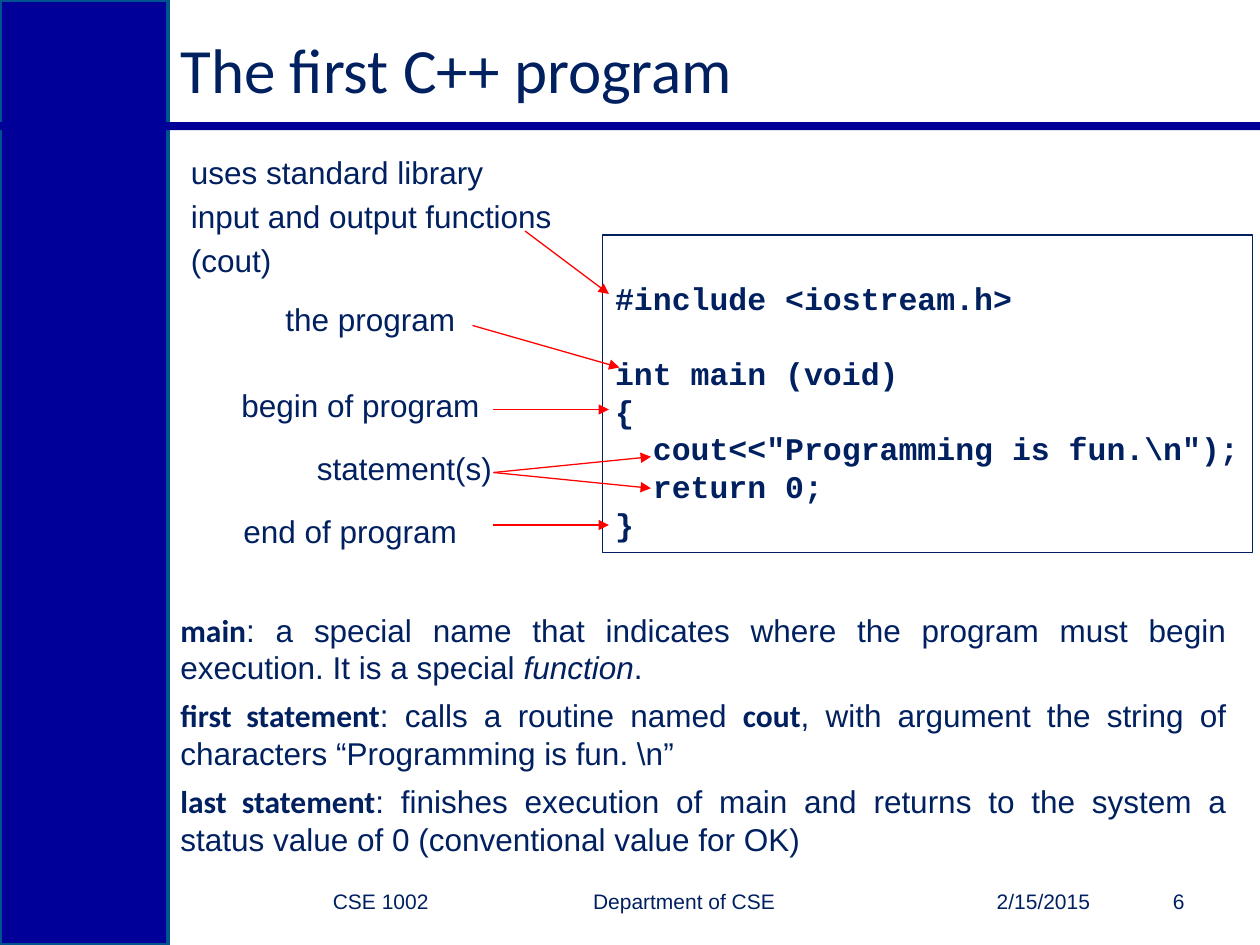
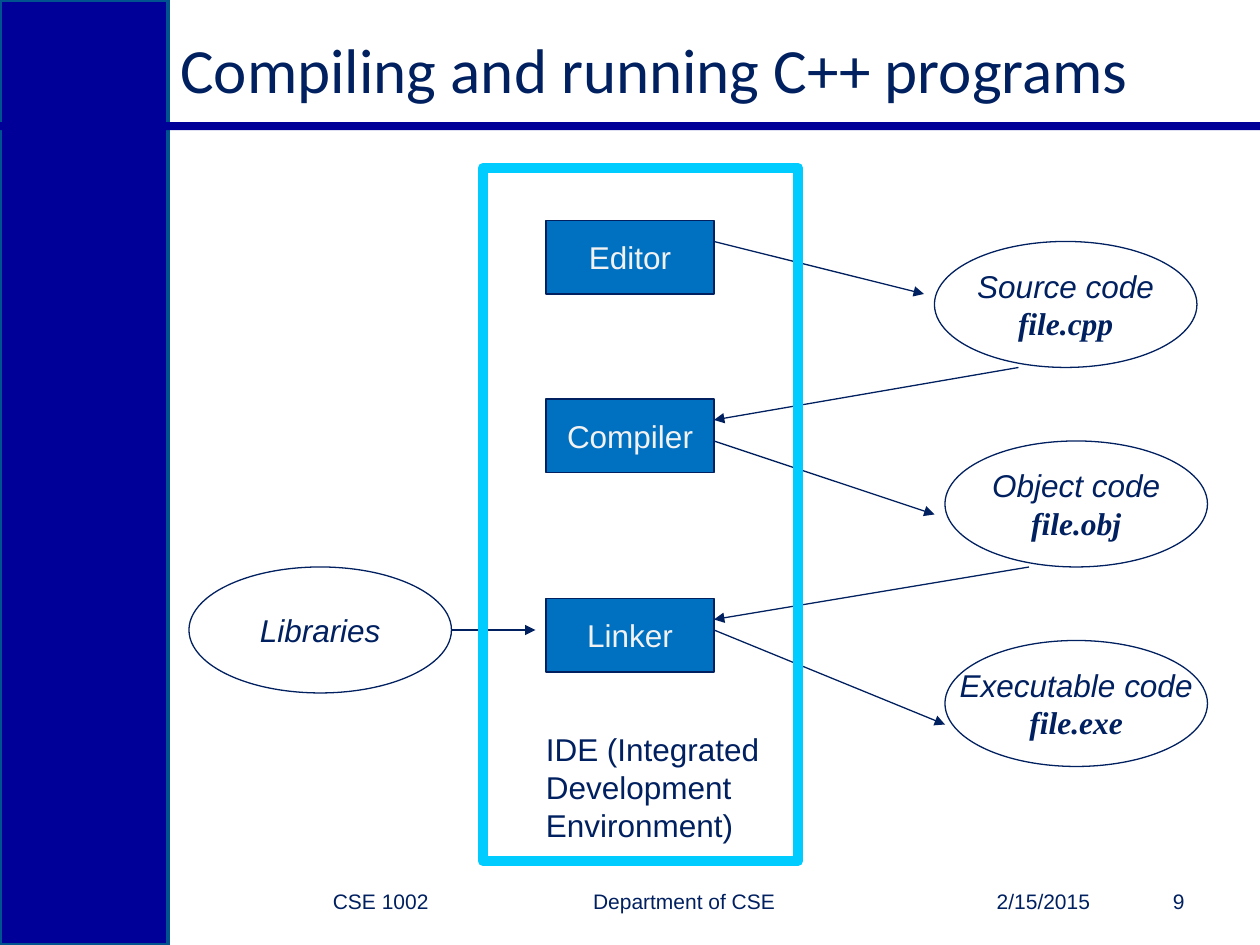
from lxml import etree
from pptx import Presentation
from pptx.dml.color import RGBColor
from pptx.enum.shapes import MSO_CONNECTOR, MSO_SHAPE
from pptx.enum.text import MSO_ANCHOR, PP_ALIGN
from pptx.oxml.ns import qn
from pptx.util import Inches, Pt

RECT, OVAL = MSO_SHAPE.RECTANGLE, MSO_SHAPE.OVAL
STRAIGHT = MSO_CONNECTOR.STRAIGHT
TOP, MIDDLE = MSO_ANCHOR.TOP, MSO_ANCHOR.MIDDLE
LEFT, CENTER, RIGHT, JUSTIFY = (PP_ALIGN.LEFT, PP_ALIGN.CENTER,
                                PP_ALIGN.RIGHT, PP_ALIGN.JUSTIFY)

NAVY = RGBColor(0x00, 0x20, 0x60)
BAND = RGBColor(0x00, 0x00, 0x99)
BAND_EDGE = RGBColor(0x00, 0x53, 0x8E)
RED = RGBColor(0xFF, 0x00, 0x00)
BLUE = RGBColor(0x00, 0x70, 0xC0)
CYAN = RGBColor(0x00, 0xCC, 0xFF)
PALE = RGBColor(0xF2, 0xF2, 0xF2)

BODY, HEADING, CODE, FILE_NAME = "Arial", "Calibri", "Courier New", "Times New Roman"
BODY_SIZE, BODY_LEADING = 18, Pt(21.5)

# The slide is a grid of 120 columns by 90 rows.
COLUMNS, ROWS = 120, 90
CELL = Inches(10) // COLUMNS

SIDEBAR = (0, 0, 16, ROWS)
RULE = (0, 11.64, COLUMNS, 0.76)
TITLE = (16, 2, 94, 9)
FOOTER = (17, 83.4, 97, 4.8)
WALKTHROUGH = (17, 14, 102.3, 38.6)
EXPLANATION = (16, 57.6, 102, 25)
DIAGRAM = (18, 16, 97, 66)


def emu(*cells):
    return [round(n * CELL) for n in cells]


def inside(box, left, top, width, height):
    """Grid box given relative to the corner of another box."""
    return box[0] + left, box[1] + top, width, height


def style(font, name=BODY, size=BODY_SIZE, color=NAVY, bold=None, italic=None):
    font.name, font.size, font.color.rgb = name, Pt(size), color
    font.bold, font.italic = bold, italic


def write(sp, lines, align=LEFT, anchor=TOP, wrap=True, before=0, after=0, **font):
    """Write one paragraph per line; before is the gap between paragraphs."""
    tf = sp.text_frame
    tf.word_wrap, tf.vertical_anchor = wrap, anchor
    for i, line in enumerate(lines):
        p = tf.paragraphs[0] if i == 0 else tf.add_paragraph()
        p.text = line
        p.alignment = align
        p.space_before, p.space_after = Pt(before if i else 0), Pt(after)
        style(p.font, **font)
        if font.get("size", BODY_SIZE) == BODY_SIZE:
            p.line_spacing = BODY_LEADING
    return tf


def add_text(s, box, lines, **options):
    return write(s.shapes.add_textbox(*emu(*box)), lines, **options)


def add_shape(s, kind, box, fill=None, line=None, width=0.75):
    sp = s.shapes.add_shape(kind, *emu(*box))
    sp.shadow.inherit = False
    if fill is None:
        sp.fill.background()
    else:
        sp.fill.solid()
        sp.fill.fore_color.rgb = fill
    if line is None:
        sp.line.fill.background()
    else:
        sp.line.color.rgb, sp.line.width = line, Pt(width)
    return sp


def add_arrows(s, box, arrows, color):
    """Draw arrows given as x1, y1, x2, y2 relative to the box."""
    x, y = box[:2]
    for x1, y1, x2, y2 in arrows:
        cn = s.shapes.add_connector(STRAIGHT, *emu(x + x1, y + y1, x + x2, y + y2))
        cn.line.color.rgb, cn.line.width = color, Pt(0.75)
        etree.SubElement(cn.line._get_or_add_ln(), qn("a:tailEnd"), type="triangle")
        etree.SubElement(cn._element.spPr, qn("a:effectLst"))


def add_footer(s, box, number):
    parts = [(0, 25, "CSE 1002"), (25, 33, "Department of CSE"),
             (67, 21, "2/15/2015"), (88, 9, number)]
    for left, width, text in parts:
        add_text(s, inside(box, left, 0, width, box[3]), [text],
                 align=RIGHT, anchor=MIDDLE, size=12)


def add_slide(prs, title, number):
    s = prs.slides.add_slide(prs.slide_layouts[6])
    add_shape(s, RECT, SIDEBAR, BAND, BAND_EDGE, 2)
    add_shape(s, RECT, RULE, BAND)
    add_text(s, TITLE, [title], anchor=MIDDLE, name=HEADING, size=36)
    add_footer(s, FOOTER, number)
    return s


def add_walkthrough(s, box):
    """Code listing with labels pointing at its lines."""
    listing = add_shape(s, RECT, inside(box, 40.4, 8.4, 61.9, 30.2), line=NAVY)
    tf = write(listing, ["#include <iostream.h>", "int main (void)", "{",
                         "  cout<<\"Programming is fun.\\n\");", "  return 0;", "}"],
               name=CODE, bold=True)
    tf.margin_top, tf.margin_right = Inches(0.35), Inches(0.05)
    tf.paragraphs[1].space_before = BODY_LEADING

    labels = [
        (0, 0, 40, 17, ["uses standard library", "input and output functions", "(cout)"]),
        (9, 14, 31, 8.4, ["the program"]),
        (4.8, 22.2, 26, 4.8, ["begin of program"]),
        (12, 28.2, 20, 4.8, ["statement(s)"]),
        (5, 34.2, 24, 4.8, ["end of program"]),
    ]
    for *place, lines in labels:
        add_text(s, inside(box, *place), lines, before=3.6)
    add_arrows(s, box, [(33, 8, 41, 14), (28, 17, 42, 21), (30, 25, 41, 25),
                        (30, 31, 45, 29.5), (30, 31, 45, 32.5), (30, 36, 41, 36)], RED)


def add_explanation(s, box):
    term, emphasis = dict(name=HEADING, bold=True), dict(italic=True)
    paragraphs = [
        [("main", term),
         (": a special name that indicates where the program must begin execution. "
          "It is a special ", {}), ("function", emphasis), (".", {})],
        [("first statement", term), (": calls a routine named ", {}), ("cout", term),
         (", with argument the string of characters “Programming is fun. \\n”", {})],
        [("last statement", term),
         (": finishes execution of main and returns to the system a status value of 0 "
          "(conventional value for OK)", {})],
    ]
    tf = add_text(s, box, [""] * len(paragraphs), align=JUSTIFY, after=6)
    for p, runs in zip(tf.paragraphs, paragraphs):
        for text, font in runs:
            r = p.add_run()
            r.text = text
            style(r.font, **font)


def add_oval(s, box, lines):
    sp = add_shape(s, OVAL, box, line=NAVY)
    tf = write(sp, lines, align=CENTER, anchor=MIDDLE, wrap=False, italic=True)
    for p in tf.paragraphs[1:]:
        style(p.font, name=FILE_NAME, bold=True, italic=True)


def add_build_diagram(s, box):
    for top, tool in [(5, "Editor"), (22, "Compiler"), (41, "Linker")]:
        sp = add_shape(s, RECT, inside(box, 34, top, 16, 7), BLUE, NAVY)
        write(sp, [tool], align=CENTER, anchor=MIDDLE, wrap=False, color=PALE)

    outputs = [(71, "Source code", "file.cpp"), (72, "Object code", "file.obj"),
               (72, "Executable code", "file.exe")]
    for i, (left, *lines) in enumerate(outputs):
        add_oval(s, inside(box, left, 7 + 19 * i, 25, 12), lines)
    add_oval(s, inside(box, 0, 38, 25, 12), ["Libraries"])

    add_arrows(s, box, [(50, 7, 70, 12), (50, 26, 71, 33), (50, 44, 72, 53),
                        (79, 19, 50, 24), (80, 38, 50, 43), (25, 44, 33, 44)], NAVY)
    add_shape(s, RECT, inside(box, 28, 0, 30, 66), line=CYAN, width=6)
    add_text(s, inside(box, 32.8, 53, 27.2, 12),
             ["IDE (Integrated Development Environment)"])


def main():
    prs = Presentation()
    prs.slide_width, prs.slide_height = emu(COLUMNS, ROWS)

    s = add_slide(prs, "The first C++ program", "6")
    add_walkthrough(s, WALKTHROUGH)
    add_explanation(s, EXPLANATION)

    s = add_slide(prs, "Compiling and running C++ programs", "9")
    add_build_diagram(s, DIAGRAM)

    prs.save("out.pptx")


if __name__ == "__main__":
    main()
